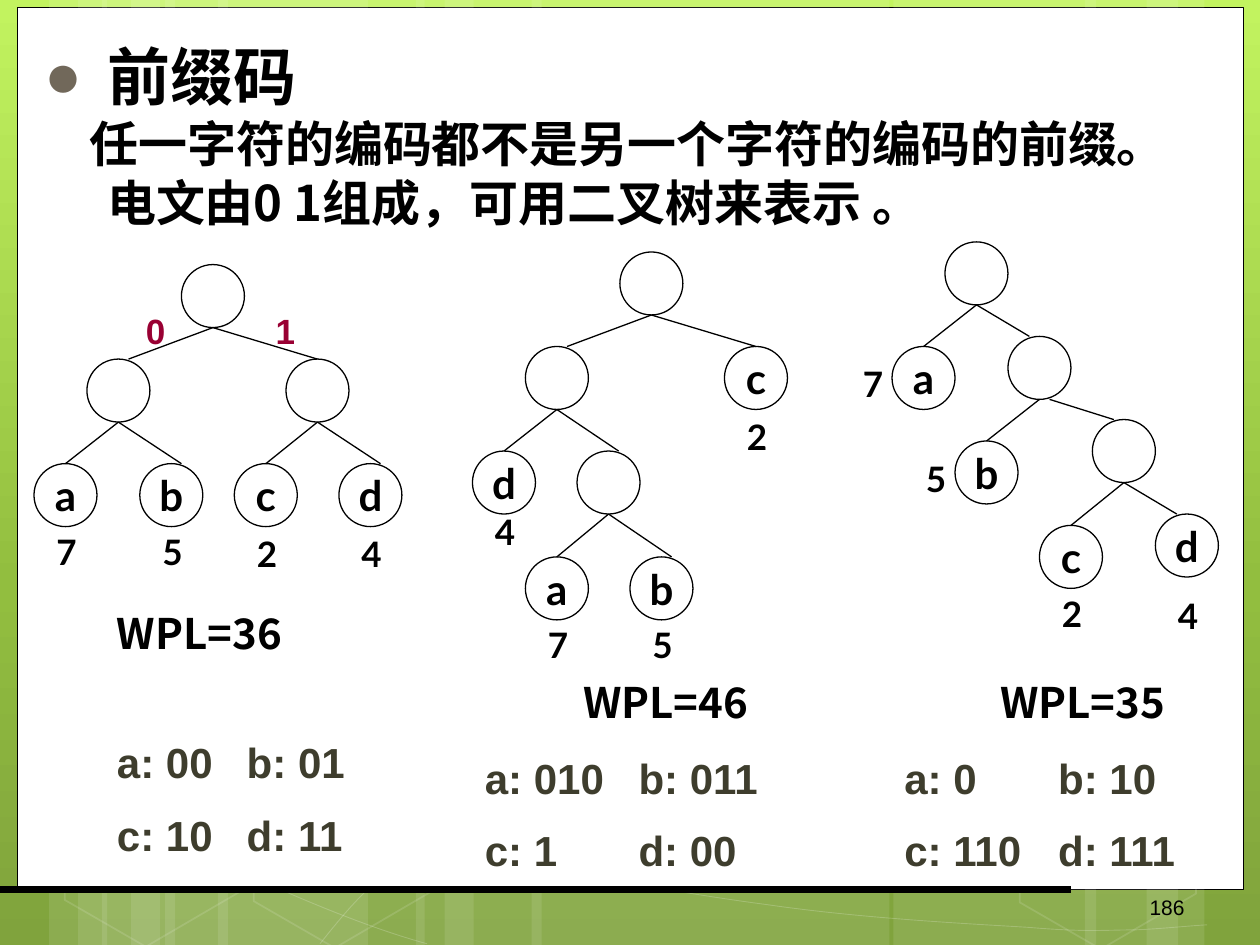
from copy import deepcopy
from dataclasses import dataclass

from pptx import Presentation
from pptx import util as u
from pptx.dml.color import RGBColor
from pptx.enum import shapes, text
from pptx.oxml.ns import qn
from lxml import etree

GRID = 2.54  # centimetres in one layout unit
NODE = 0.5
CJK = "Noto Sans CJK SC"
KIND = shapes.MSO_SHAPE


def cm(*spans):
    sizes = [u.Cm(s * GRID) for s in spans]
    return sizes[0] if len(sizes) == 1 else sizes


def hue(code):
    return RGBColor.from_string(code)


def sub(node, tag, **attrs):
    return etree.SubElement(node, qn(tag), attrs)


def fade(fill, alpha):
    """Make a solid white fill with the given opacity in percent."""
    fill.solid()
    fill.fore_color.rgb = hue("FFFFFF")
    color = fill._xPr.find(qn("a:solidFill"))[0]
    sub(color, "a:alpha", val=str(alpha * 1000))


def plain(shape, fill=None, line=None, width=0.75):
    """Style a shape; a number means white with that opacity."""
    shape.shadow.inherit = False
    for paint, tint in ((shape.fill, fill), (shape.line.fill, line)):
        if tint is None:
            paint.background()
        elif isinstance(tint, int):
            fade(paint, tint)
        else:
            paint.solid()
            paint.fore_color.rgb = hue(tint)
    if line is not None:
        shape.line.width = u.Pt(width)


def rule(deck, start, end, width=0.75):
    line = deck.shapes.add_connector(
        shapes.MSO_CONNECTOR.STRAIGHT, *cm(*start, *end))
    line.line.color.rgb = hue("000000")
    line.line.width = u.Pt(width)
    sub(line._element.spPr, "a:effectLst")


def write(para, words, size, font, tint="000000", bold=True):
    run = para.add_run()
    run.text = words
    run.font.size, run.font.name, run.font.bold = u.Pt(size), font, bold
    run.font.color.rgb = hue(tint)
    sub(run.font._element, "a:ea", typeface=font)


def label(deck, box, words, size, font, tint="000000", bold=True):
    frame = deck.shapes.add_textbox(*cm(*box)).text_frame
    frame.word_wrap = True
    write(frame.paragraphs[0], words, size, font, tint, bold)
    return frame


def trace(deck, points, close, **look):
    spots = [cm(*p) for p in points]
    pen = deck.shapes.build_freeform(*spots[0], scale=1.0)
    pen.add_line_segments(spots[1:], close=close)
    shape = pen.convert_to_shape()
    plain(shape, **look)
    return shape


def bend(shape):
    """Turn each three straight segments into one cubic curve."""
    legs = list(shape._element.iter(qn("a:lnTo")))
    for i in range(0, len(legs), 3):
        arc = etree.Element(qn("a:cubicBezTo"))
        legs[i].addprevious(arc)
        for leg in legs[i:i + 3]:
            arc.append(leg[0])
            leg.getparent().remove(leg)


STRIPES = [(1.31, 1.61), (0.39, 0.46), (0.62, 0.77), (1.73, 1.64), (0.81, 0.46),
           (1.04, 0.77), (7.09, 1.61), (9.1, 0.46), (8.61, 0.74), (4.22, 2.84),
           (3.3, 0.46), (3.53, 0.77)]
CURVES = [
    [(0.37, 4.77), (0.64, 4.61), (0.9, 4.46), (1.43, 4.31), (1.95, 4.16),
     (2.69, 3.94), (3.51, 3.87), (4.32, 3.8), (5.32, 3.79), (6.33, 3.87),
     (7.34, 3.95), (9.03, 4.26), (9.58, 4.34)],
    [(0.36, 6.17), (1.47, 6.72), (2.58, 7.27), (3.39, 7.49)],
    [(0.37, 5.78), (0.66, 5.89), (0.95, 6), (1.49, 6.16), (2.02, 6.31),
     (2.82, 6.56), (3.59, 6.73), (4.36, 6.9), (5.33, 7.08), (6.09, 7.18),
     (6.85, 7.29), (7.67, 7.33), (8.16, 7.36), (8.64, 7.4), (8.77, 7.38),
     (9.01, 7.38), (9.24, 7.37), (9.41, 7.35), (9.58, 7.34)],
    [(2.54, 7.49), (2.7, 7.29), (2.86, 7.09), (3.09, 6.91), (3.31, 6.72),
     (3.62, 6.53), (3.88, 6.39), (4.13, 6.25), (4.29, 6.19), (4.63, 6.09),
     (4.97, 5.99), (5.59, 5.85), (5.91, 5.78), (6.23, 5.71), (6.28, 5.71),
     (6.57, 5.69), (6.85, 5.66), (7.3, 5.63), (7.62, 5.62), (7.94, 5.61),
     (8.47, 5.62), (8.47, 5.62), (8.67, 5.62), (8.88, 5.62), (9.08, 5.62),
     (9.25, 5.63), (9.4, 5.64), (9.48, 5.65), (9.57, 5.66), (9.54, 5.65),
     (9.57, 5.66)],
]
# left, top, fill opacity, line opacity
HEXES = [(3.4, 3.13, 10, 12), (4.13, 4.51, None, 12), (4.14, 1.74, 7, 8),
         (3.38, 0.36, 4, 8), (0.41, 5.91, None, 12), (0.44, 3.12, 7, 8),
         (1.17, 4.51, None, 12), (1.91, 5.92, None, 12), (1.93, 3.13, 7, 8),
         (1.19, 1.71, None, 12), (7.24, 4.53, 10, 12), (7.99, 5.93, None, 12),
         (7.99, 3.14, 7, 8)]
CUTS = [
    (10, [(0.41, 4.48), (0.51, 4.41), (1.22, 4.82), (1.19, 5.67), (0.46, 6.13),
          (0.36, 6.07)]),
    (4, [(8.83, 4.88), (9.56, 4.42), (9.62, 4.47), (9.57, 6.11), (9.5, 6.15),
         (8.8, 5.74)]),
    (None, [(8.83, 2.1), (9.56, 1.64), (9.63, 1.68), (9.57, 3.32), (9.5, 3.36),
            (8.8, 2.96)]),
]


def backdrop(deck):
    fill = deck.background.fill
    fill.gradient()
    fill.gradient_angle = 270
    stops = next(deck.element.iter(qn("a:gsLst")))
    stops.append(deepcopy(stops[-1]))
    tints = ((0, "C2F35F"), (0.62, "92BE3F"), (1, "80A33D"))
    for stop, (place, tint) in zip(fill.gradient_stops, tints):
        stop.position, stop.color.rgb = place, hue(tint)

    add = deck.shapes.add_shape
    plain(add(KIND.RECTANGLE, *cm(0.14, 0.06, 9.73, 7)), "FFFFFF", "000000", 0.5)
    for left, wide in STRIPES:
        plain(add(KIND.RECTANGLE, *cm(left, 0, wide, 7.5)), 10)
    for points in CURVES:
        bend(trace(deck, points, False, line=20, width=0.5))
    for left, top, inner, edge in HEXES:
        cell = add(KIND.HEXAGON, *cm(left, top, 1.61, 1.52))
        cell.rotation = 30
        cell.adjustments[0] = 0.285
        plain(cell, inner, edge, 1)
    for inner, points in CUTS:
        trace(deck, points, True, fill=inner, line=12, width=1)
    rule(deck, (0, 7.06), (8.5, 7.06), 4.5)


def heading(deck, box, head, body):
    title = deck.shapes.title
    title.element.getparent().append(title.element)  # in front of the backdrop
    title.left, title.top, title.width, title.height = cm(*box)
    frame = title.text_frame
    frame.auto_size = text.MSO_AUTO_SIZE.NONE
    frame.vertical_anchor = text.MSO_ANCHOR.TOP
    frame.word_wrap = True
    first, second = frame.paragraphs[0], frame.add_paragraph()
    for para, words, size, hang in ((first, head, 36, -0.5), (second, body, 28, -0.14)):
        para.alignment = text.PP_ALIGN.LEFT
        para.line_spacing = 1.0
        para.space_before = u.Pt(0)
        props = para._p.get_or_add_pPr()
        props.set("marL", str(cm(0.5)))
        props.set("indent", str(cm(hang)))
        write(para, words, size, CJK)
    props = first._p.pPr
    sub(sub(props, "a:buClr"), "a:srgbClr", val="71685A")
    sub(props, "a:buFont", typeface="Arial")
    sub(props, "a:buChar", char="●")


@dataclass
class Node:
    x: float
    y: float
    up: int = -1  # index of the parent
    end: float = 0  # sideways shift of the edge at this node
    name: str = ""
    weight: str = ""
    spot: tuple = (0.08, 0.48)  # weight label, from the node's corner
    start: float = 0  # sideways shift of the edge at the parent


def tree(deck, left, top, nodes):
    half = NODE / 2
    for n in nodes:
        x, y = left + n.x, top + n.y
        if n.up >= 0:
            over = nodes[n.up]
            rule(deck, (left + over.x + half + n.start, top + over.y + NODE),
                 (x + half + n.end, y))
        ring = deck.shapes.add_shape(KIND.OVAL, *cm(x, y, NODE, NODE))
        plain(ring, line="000000")
        if n.name:
            frame = ring.text_frame
            frame.margin_left = frame.margin_right = 0
            frame.margin_top = frame.margin_bottom = 0
            frame.word_wrap = False
            frame.vertical_anchor = text.MSO_ANCHOR.MIDDLE
            frame.paragraphs[0].alignment = text.PP_ALIGN.CENTER
            write(frame.paragraphs[0], n.name, 24, "Lato")
            dx, dy = n.spot
            label(deck, (x + dx, y + dy, 0.33, 0.43), n.weight, 20, "Lato")


def codes(deck, box, tab, rows):
    """Write the code table, its second column at the tab stop."""
    frame = label(deck, box, rows[0], 24, "Arial", "3E3D2D")
    second = frame.add_paragraph()
    second.space_before = u.Pt(12.4)
    write(second, rows[1], 24, "Arial", "3E3D2D")
    for para in frame.paragraphs:
        stops = sub(para._p.get_or_add_pPr(), "a:tabLst")
        sub(stops, "a:tab", pos=str(cm(tab)), algn="l")


LOW, SIDE = (0.08, 0.5), (-0.33, 0.08)
EVEN = [Node(1.17, 0), Node(0.42, 0.75, 0, 0.08), Node(2, 0.75, 0),
        Node(0, 1.58, 1, 0, "a", "7"), Node(0.84, 1.58, 1, 0.08, "b", "5"),
        Node(1.59, 1.58, 2, 0, "c", "2", LOW), Node(2.42, 1.58, 2, 0.08, "d", "4", LOW)]
DEEP = [Node(1.17, 0), Node(0.42, 0.75, 0, 0.08), Node(2, 0.75, 0, 0, "c", "2", LOW),
        Node(0, 1.58, 1, 0, "d", "4", (0.08, 0.42)), Node(0.83, 1.58, 1, 0.08),
        Node(0.42, 2.42, 4, 0, "a", "7"), Node(1.25, 2.42, 4, 0.08, "b", "5")]
BEST = [Node(0.42, 0), Node(0, 0.83, 0, 0, "a", "7", SIDE), Node(0.92, 0.75, 0, -0.08),
        Node(0.5, 1.58, 2, 0, "b", "5", SIDE), Node(1.59, 1.41, 2, -0.08, start=0.08),
        Node(1.17, 2.25, 4, 0, "c", "2"), Node(2.09, 2.16, 4, -0.08, "d", "4", (0.08, 0.59))]
# tree corner, nodes, sum and its place, code box, tab, code rows
CASES = [
    ((0.27, 2.1), EVEN, "WPL=36", (0.83, 4.77), (0.83, 5.8, 2.28, 1.1), 1.03,
     ("a: 00\tb: 01", "c: 10\td: 11")),
    ((3.75, 2), DEEP, "WPL=46", (4.53, 5.32), (3.75, 5.92, 2.76, 1.1), 1.22,
     ("a: 010\tb: 011", "c: 1\td: 00")),
    ((7.08, 1.92), BEST, "WPL=35", (7.84, 5.32), (7.08, 5.92, 2.64, 1.1), 1.22,
     ("a: 0\tb: 10", "c: 110\td: 111")),
]


def main():
    show = Presentation()
    show.slide_width, show.slide_height = cm(10, 7.5)
    deck = show.slides.add_slide(show.slide_layouts[5])
    backdrop(deck)
    heading(deck, (0.25, 0.25, 9.39, 1.64), "前缀码",
            "任一字符的编码都不是另一个字符的编码的前缀。电文由0 1组成，可用二叉树来表示 。")
    for corner, nodes, total, place, box, tab, rows in CASES:
        tree(deck, *corner, nodes)
        label(deck, (*place, 1.75, 0.5), total, 24, CJK)
        codes(deck, box, tab, rows)
    for bit, left in (("0", 1.06), ("1", 2.09)):
        label(deck, (left, 2.41, 0.47, 0.43), bit, 20, "Arial", "990033")
    page = label(deck, (7.17, 6.83, 2.33, 0.52), "186", 12, "Arial", bold=False)
    page.vertical_anchor = text.MSO_ANCHOR.BOTTOM
    page.paragraphs[0].alignment = text.PP_ALIGN.RIGHT
    show.save("out.pptx")


if __name__ == "__main__":
    main()
